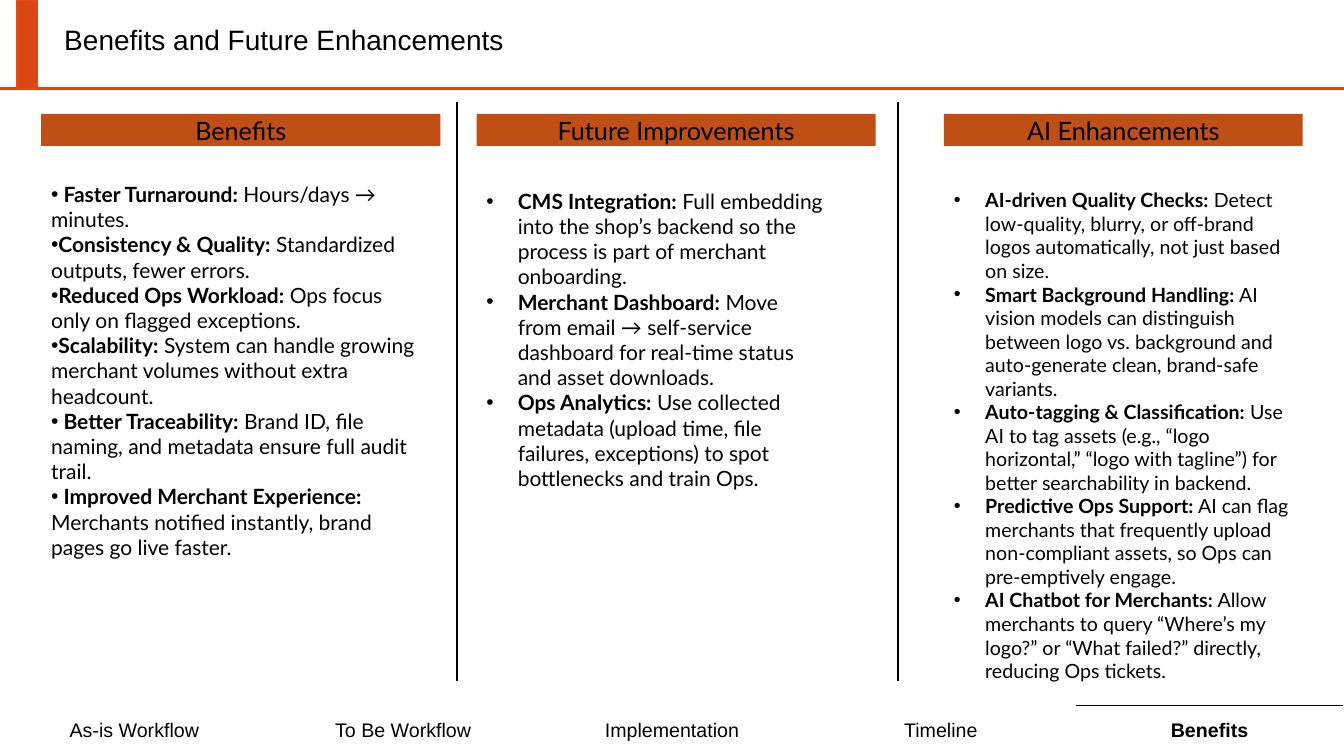
from lxml.etree import SubElement
from pptx import Presentation
from pptx.dml.color import RGBColor
from pptx.enum.shapes import MSO_CONNECTOR, MSO_SHAPE
from pptx.enum.text import MSO_ANCHOR, PP_ALIGN
from pptx.oxml.ns import qn
from pptx.util import Cm, Pt

COLORS = {"text": "000000", "accent": "D94814", "accent_edge": "E94619", "banner": "C04F15"}
SLIDE_WIDTH, SLIDE_HEIGHT = 33.87, 19.05
TITLE = "Benefits and Future Enhancements"
STEPS = ["As-is Workflow", "To Be Workflow", "Implementation", "Timeline", "Benefits"]
CURRENT_STEP = "Benefits"
HEADER_HEIGHT = 2.24
DIVIDERS_X = [11.51, 22.63]

COLUMNS = [
    {
        "heading": "Benefits", "left": 1.04, "banner_width": 10.06,
        "top": 4.45, "width": 9.96, "height": 11.15, "size": 15, "indent": 0,
        "items": [
            (" Faster Turnaround:", " Hours/days → minutes."),
            ("Consistency & Quality:", " Standardized outputs, fewer errors."),
            ("Reduced Ops Workload:", " Ops focus only on flagged exceptions."),
            ("Scalability:", " System can handle growing merchant volumes without extra headcount."),
            (" Better Traceability:", " Brand ID, file naming, and metadata ensure full audit trail."),
            (" Improved Merchant Experience:", " Merchants notified instantly, brand pages go live faster."),
        ],
    },
    {
        "heading": "Future Improvements", "left": 12.01, "banner_width": 10.06,
        "top": 4.62, "width": 9.04, "height": 7.95, "size": 15, "indent": 0.79,
        "items": [
            ("CMS Integration:", " Full embedding into the shop’s backend so the process is part of "
             "merchant onboarding."),
            ("Merchant Dashboard:", " Move from email → self-service dashboard for real-time status "
             "and asset downloads."),
            ("Ops Analytics:", " Use collected metadata (upload time, file failures, exceptions) to "
             "spot bottlenecks and train Ops."),
        ],
    },
    {
        "heading": "AI Enhancements", "left": 23.79, "banner_width": 9.04,
        "top": 4.62, "width": 9.07, "height": 12.83, "size": 14, "indent": 0.79,
        "items": [
            ("AI-driven Quality Checks:", " Detect low-quality, blurry, or off-brand logos "
             "automatically, not just based on size."),
            ("Smart Background Handling:", " AI vision models can distinguish between logo vs. "
             "background and auto-generate clean, brand-safe variants."),
            ("Auto-tagging & Classification:", " Use AI to tag assets (e.g., “logo horizontal,” “logo "
             "with tagline”) for better searchability in backend."),
            ("Predictive Ops Support:", " AI can flag merchants that frequently upload non-compliant "
             "assets, so Ops can pre-emptively engage."),
            ("AI Chatbot for Merchants:", " Allow merchants to query “Where’s my logo?” or “What "
             "failed?” directly, reducing Ops tickets."),
        ],
    },
]


def color(name):
    return RGBColor.from_string(COLORS[name])


def format_run(run, font_name, size, bold=False):
    run.font.name = font_name
    run.font.size = Pt(size)
    run.font.bold = bold
    run.font.color.rgb = color("text")


def add_line(slide, start, end, color_name, width):
    line = slide.shapes.add_connector(MSO_CONNECTOR.STRAIGHT, *map(Cm, start + end))
    line.line.color.rgb = color(color_name)
    line.line.width = Pt(width)
    SubElement(line._element.spPr, qn("a:effectLst"))


def add_rectangle(slide, box, fill):
    shape = slide.shapes.add_shape(MSO_SHAPE.RECTANGLE, *map(Cm, box))
    shape.shadow.inherit = False
    shape.fill.solid()
    shape.fill.fore_color.rgb = color(fill)
    shape.line.fill.background()
    return shape


def add_text_box(slide, box):
    text_frame = slide.shapes.add_textbox(*map(Cm, box)).text_frame
    text_frame.word_wrap = True
    return text_frame


def add_bullet(paragraph, indent):
    properties = paragraph._p.get_or_add_pPr()
    properties.set("marL", str(Cm(indent)))
    properties.set("indent", str(-Cm(indent)))
    SubElement(properties, qn("a:buFont"), typeface="Arial")
    SubElement(properties, qn("a:buChar"), char="•")


def add_header(slide):
    add_line(slide, (0, HEADER_HEIGHT), (SLIDE_WIDTH, HEADER_HEIGHT), "accent", 2)
    bar = add_rectangle(slide, (0.43, 0, 0.51, HEADER_HEIGHT), "accent")
    bar.line.color.rgb = color("accent_edge")
    bar.line.width = Pt(1)
    text_frame = add_text_box(slide, (1.37, 0, 28.35, 2.11))
    text_frame.text = TITLE
    text_frame.vertical_anchor = MSO_ANCHOR.MIDDLE
    paragraph = text_frame.paragraphs[0]
    paragraph.line_spacing = 0.9
    format_run(paragraph.runs[0], "Arial", 20)


def add_column(slide, column):
    banner = add_rectangle(slide, (column["left"], 2.87, column["banner_width"], 0.81), "banner")
    banner.text_frame.text = column["heading"]
    banner.text_frame.vertical_anchor = MSO_ANCHOR.MIDDLE
    heading = banner.text_frame.paragraphs[0]
    heading.alignment = PP_ALIGN.CENTER
    format_run(heading.runs[0], "Lato", 18)

    text_frame = add_text_box(slide, [column[key] for key in ("left", "top", "width", "height")])
    for index, item in enumerate(column["items"]):
        paragraph = text_frame.add_paragraph() if index else text_frame.paragraphs[0]
        add_bullet(paragraph, column["indent"])
        for text, bold in zip(item, (True, False)):
            run = paragraph.add_run()
            run.text = text
            format_run(run, "Lato", column["size"], bold)


def add_top_border(cell):
    """Draw a thin line above the cell; borders must precede the cell's fill."""
    properties = cell._tc.get_or_add_tcPr()
    border = SubElement(properties, qn("a:lnT"), w=str(Pt(1)))
    fill = SubElement(border, qn("a:solidFill"))
    SubElement(fill, qn("a:srgbClr"), val=COLORS["text"])
    properties.insert(0, border)


def add_step_bar(slide):
    height = 1.24
    box = map(Cm, (0, 17.78, SLIDE_WIDTH, height))
    table = slide.shapes.add_table(1, len(STEPS), *box).table
    table.first_row = False
    table.horz_banding = False
    for cell, step in zip(table.rows[0].cells, STEPS):
        cell.fill.background()
        cell.vertical_anchor = MSO_ANCHOR.MIDDLE
        cell.text_frame.text = step
        paragraph = cell.text_frame.paragraphs[0]
        paragraph.alignment = PP_ALIGN.CENTER
        format_run(paragraph.runs[0], "Arial", 14, step == CURRENT_STEP)
        if step == CURRENT_STEP:
            add_top_border(cell)


def main():
    presentation = Presentation()
    presentation.slide_width = Cm(SLIDE_WIDTH)
    presentation.slide_height = Cm(SLIDE_HEIGHT)
    slide = presentation.slides.add_slide(presentation.slide_layouts[6])
    add_step_bar(slide)
    add_header(slide)
    for x in DIVIDERS_X:
        add_line(slide, (x, 2.57), (x, 17.17), "text", 1.5)
    for column in COLUMNS:
        add_column(slide, column)
    presentation.save("out.pptx")


if __name__ == "__main__":
    main()
